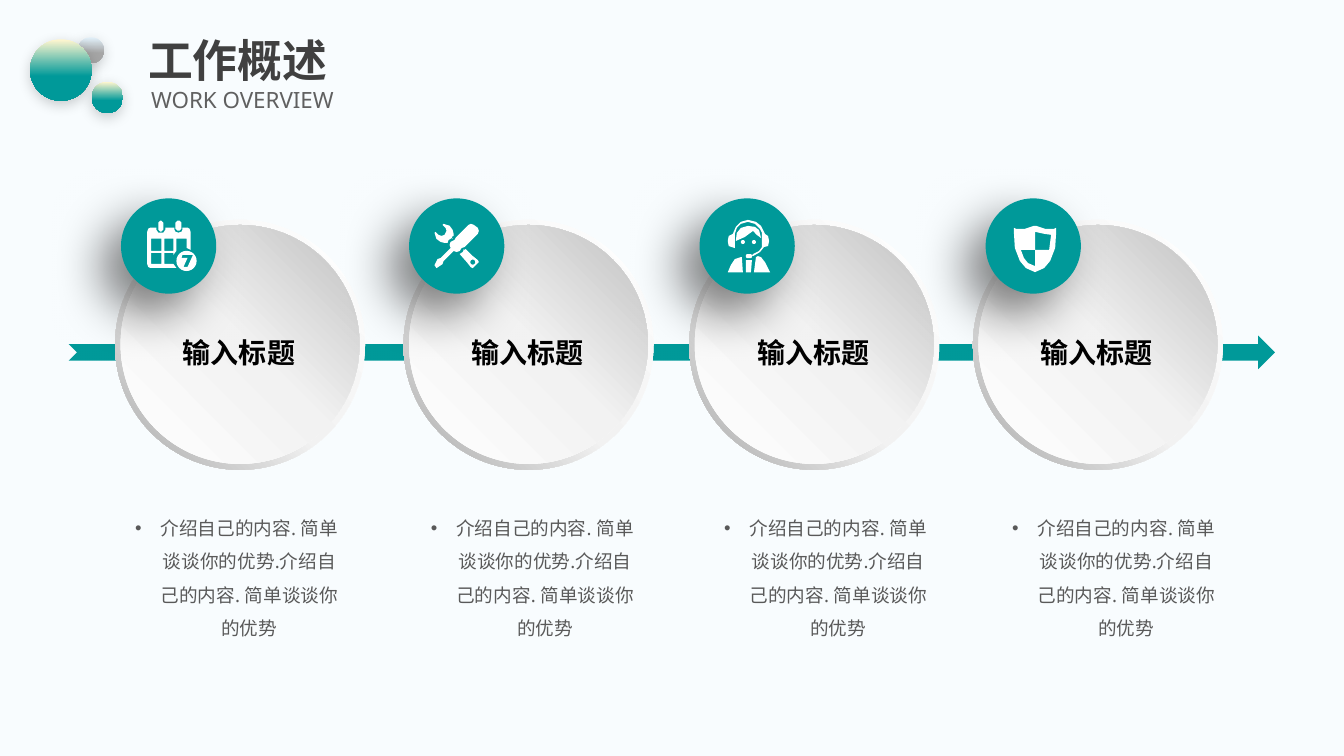
import math

import pptx
import pptx.dml.color
import pptx.enum.shapes
import pptx.enum.text
import pptx.oxml
import pptx.oxml.ns
import pptx.util
from pptx.util import Cm

SHAPE = pptx.enum.shapes.MSO_SHAPE
ALIGN = pptx.enum.text.PP_ALIGN
ANCHOR = pptx.enum.text.MSO_ANCHOR
TEAL = "009999"
RIM = [(0, "FFFFFF"), (55, "F2F2F2"), (100, "A6A6A6")]
FACE = [(0, "FFFFFF"), (51, "F2F2F2"), (100, "BFBFBF")]
SUMMARY = "介绍自己的内容. 简单谈谈你的优势.介绍自己的内容. 简单谈谈你的优势"


def disc(x, y, radius, steps=24):
    turns = [2 * math.pi * i / steps for i in range(steps)]
    return [(x + radius * math.cos(t), y + radius * math.sin(t)) for t in turns]


def box(left, top, right, bottom, cut=0):
    """Outline of a rectangle, with its corners cut off if asked."""
    if not cut:
        return [(left, top), (right, top), (right, bottom), (left, bottom)]
    return [(left + cut, top), (right - cut, top), (right, top + cut), (right, bottom - cut),
            (right - cut, bottom), (left + cut, bottom), (left, bottom - cut), (left, top + cut)]


# Icon outlines, in hundredths of an inch from the icon's corner
CALENDAR = [
    box(11, 0, 16, 11, 2), box(28, 0, 34, 10, 2),
    [(3, 7), (9, 7), (9, 9), (11, 12), (16, 12), (18, 9), (18, 7), (27, 7), (27, 9), (28, 11),
     (31, 12), (34, 11), (35, 9), (35, 7), (40, 7), (42, 8), (43, 11), (43, 29), (39, 27),
     (39, 18), (29, 18), (29, 30), (26, 34), (26, 32), (17, 32), (17, 43), (26, 43), (29, 47),
     (3, 47), (1, 46), (0, 43), (0, 11), (1, 8)],
    box(4, 18, 14, 30), box(17, 18, 26, 30), box(4, 32, 14, 43), disc(39, 40, 10),
    [(35, 34), (45, 34), (45, 35), (40, 46), (36, 46), (40, 37), (34, 37)],
]
TOOLS = [
    [(29, 25), (29, 26), (28, 28), (25, 30), (32, 38), (36, 43), (38, 44), (44, 38), (43, 36),
     (38, 32), (31, 25), (30, 26)],
    disc(38, 38, 2.5),
    [(16, 15), (17, 14), (18, 15), (17, 13), (19, 12), (19, 10), (18, 6), (15, 2), (9, 0),
     (8, 1), (11, 4), (12, 7), (10, 11), (7, 12), (4, 11), (1, 8), (0, 9), (2, 15), (6, 18),
     (10, 19), (13, 19), (14, 16)],
    [(43, 4), (39, 1), (36, 0), (34, 1), (21, 14), (20, 16), (18, 17), (16, 18), (15, 21),
     (16, 24), (6, 34), (3, 35), (0, 41), (2, 44), (8, 40), (9, 37), (19, 27), (22, 28),
     (25, 27), (27, 24), (30, 23), (43, 10), (44, 7)],
]
AGENT = [
    [(20, 0), (13, 2), (8, 7), (5, 14), (1, 16), (0, 21), (1, 26), (7, 28), (7, 14), (9, 8),
     (13, 4), (20, 2), (27, 4), (32, 9), (34, 13), (34, 27), (31, 31), (25, 34), (24, 36),
     (25, 36), (32, 32), (36, 27), (40, 26), (41, 21), (40, 16), (37, 14), (33, 6), (28, 2)],
    [(20, 6), (13, 8), (9, 13), (8, 21), (17, 17), (25, 11), (29, 15), (33, 18), (31, 10),
     (27, 7)],
    disc(15, 22, 2), disc(26, 22, 2), box(18, 34, 24, 38, 1),
    [(30, 36), (28, 37), (26, 52), (42, 52), (37, 42), (33, 37)],
    [(13, 37), (7, 39), (3, 45), (0, 52), (15, 52), (14, 37)],
    [(18, 40), (24, 40), (23, 52), (18, 52)],
]
SHIELD = [
    [(0, 2), (2, 3), (11, 3), (20, 0), (22, 0), (31, 3), (40, 3), (42, 2), (42, 6), (41, 22),
     (36, 35), (30, 42), (21, 46), (12, 42), (6, 35), (1, 22), (0, 6)],
    [(21, 24), (35, 24), (37, 9), (30, 8), (21, 6)],
    [(21, 40), (21, 24), (7, 24), (10, 32), (14, 37)],
]


def color(hex_code):
    return pptx.dml.color.RGBColor.from_string(hex_code)


def add_xml(parent, tag, **attributes):
    child = pptx.oxml.ns.qn(tag)
    element = parent.makeelement(child, {k: str(v) for k, v in attributes.items()})
    parent.append(element)
    return element


class Deck:
    def __init__(self, font, background):
        self.font = font
        self.file = pptx.Presentation()
        self.file.slide_width, self.file.slide_height = Cm(33.87), Cm(19.05)
        self.slide = self.file.slides.add_slide(self.file.slide_layouts[5])
        self.slide.background.fill.solid()
        self.slide.background.fill.fore_color.rgb = color(background)

    def paint(self, shape, fill, angle=90, shadow=None):
        """Fill with a colour or (position, colour) stops; shadow is alpha, blur, distance, angle."""
        shape.shadow.inherit = False
        shape.line.fill.background()
        if isinstance(fill, str):
            shape.fill.solid()
            shape.fill.fore_color.rgb = color(fill)
        else:
            shape.fill.gradient()
            stops = shape._element.spPr.find(".//" + pptx.oxml.ns.qn("a:gsLst"))
            for stop in list(stops):
                stops.remove(stop)
            for position, hex_code in fill:
                add_xml(add_xml(stops, "a:gs", pos=position * 1000), "a:srgbClr", val=hex_code)
            stops.getparent().find(pptx.oxml.ns.qn("a:lin")).set("ang", str(angle * 60000))
        if shadow:
            alpha, blur, distance, direction = shadow
            effects = shape._element.spPr.find(pptx.oxml.ns.qn("a:effectLst"))
            outer = add_xml(effects, "a:outerShdw", blurRad=blur * 12700, dist=distance * 12700,
                            dir=direction * 60000, algn="ctr", rotWithShape=0)
            add_xml(add_xml(outer, "a:srgbClr", val="000000"), "a:alpha", val=alpha * 1000)

    def shape(self, kind, left, top, width, height, fill, on=None, adjust=None, **look):
        shapes = on or self.slide.shapes
        shape = shapes.add_shape(kind, Cm(left), Cm(top), Cm(width), Cm(height))
        if adjust is not None:
            shape.adjustments[0] = adjust
        self.paint(shape, fill, **look)

    def icon(self, outlines, left, top):
        grid = 10
        first, *others = [[(x * grid, y * grid) for x, y in outline] for outline in outlines]
        builder = self.slide.shapes.build_freeform(*first[0], scale=Cm(2.54) / 100 / grid)
        builder.add_line_segments(first[1:])
        for outline in others:
            builder.move_to(*outline[0])
            builder.add_line_segments(outline[1:])
        self.paint(builder.convert_to_shape(Cm(left), Cm(top)), "FFFFFF")

    def text(self, text, left, top, width, height, size, ink, bold=False, align=ALIGN.LEFT,
             anchor=ANCHOR.TOP, spacing=1.0, inset=None, wrap=True, bullet=None, on=None,
             holder=None):
        area = [Cm(left), Cm(top), Cm(width), Cm(height)]
        holder = holder or (on or self.slide.shapes).add_textbox(*area)
        holder.left, holder.top, holder.width, holder.height = area
        frame = holder.text_frame
        frame.word_wrap, frame.vertical_anchor = wrap, anchor
        if inset is not None:
            frame.margin_left = frame.margin_right = Cm(inset)
            frame.margin_top = frame.margin_bottom = Cm(inset)
        paragraph = frame.paragraphs[0]
        paragraph.alignment, paragraph.line_spacing = align, spacing
        if bullet:
            properties = paragraph._p.get_or_add_pPr()
            properties.set("marL", str(Cm(0.64)))
            properties.set("indent", str(-Cm(0.64)))
            add_xml(properties, "a:buFont", typeface="Arial")
            add_xml(properties, "a:buChar", char=bullet)
        run = paragraph.add_run()
        run.text = text
        run.font.size, run.font.bold = pptx.util.Pt(size), bold
        run.font.name, run.font.color.rgb = self.font, color(ink)
        add_xml(run._r.get_or_add_rPr(), "a:ea", typeface=self.font)


def main():
    deck = Deck("Noto Sans", "F8FCFE")
    for left, top, size, light, dark in [(1.96, 0.94, 0.66, "E1F0F9", "A5A5A5"),
                                         (2.31, 2.06, 0.79, "FFF6CF", TEAL),
                                         (0.76, 0.99, 1.55, "FFF6CF", TEAL)]:
        deck.shape(SHAPE.OVAL, left, top, size, size, [(1, light), (60, dark), (100, dark)],
                   shadow=(20, 10, 3, 90))
    deck.text("工作概述", 3.48, 0.84, 29.21, 1.5, 32, "404040", bold=True, spacing=0.9,
              anchor=ANCHOR.MIDDLE, holder=deck.slide.shapes.title)
    deck.text("WORK OVERVIEW", 3.56, 2.13, 23.29, 0.86, 16, "606060", spacing=0.9,
              anchor=ANCHOR.MIDDLE)
    deck.shape(SHAPE.NOTCHED_RIGHT_ARROW, 1.73, 8.46, 30.4, 0.84, TEAL)

    # Left edges of dial, badge and summary, then the icon with its corner
    steps = [(2.9, 3.05, 3.35, CALENDAR, 3.71, 5.56),
             (10.17, 10.31, 10.8, TOOLS, 10.95, 5.64),
             (17.37, 17.63, 18.19, AGENT, 18.34, 5.54),
             (24.52, 24.84, 25.45, SHIELD, 25.55, 5.69)]
    for dial, badge, summary, icon, icon_left, icon_top in steps:
        step = deck.slide.shapes.add_group_shape().shapes
        deck.shape(SHAPE.DONUT, dial, 5.54, 6.3, 6.3, RIM, on=step, adjust=0.049, angle=135)
        deck.shape(SHAPE.OVAL, dial + 0.14, 5.67, 6.02, 6.02, FACE, on=step, angle=315)
        deck.text("输入标题", dial + 1.41, 8.33, 3.43, 1.12, 20, "000000", bold=True,
                  align=ALIGN.CENTER, wrap=False, on=step)
        deck.shape(SHAPE.OVAL, badge, 5, 2.4, 2.4, TEAL, shadow=(50, 35, 20, 135))
        deck.icon(icon, icon_left, icon_top)
        deck.text(SUMMARY, summary, 12.74, 5.23, 3.43, 13.3, "595959", align=ALIGN.CENTER,
                  spacing=1.5, inset=0, bullet="•")
    deck.file.save("out.pptx")


if __name__ == "__main__":
    main()
